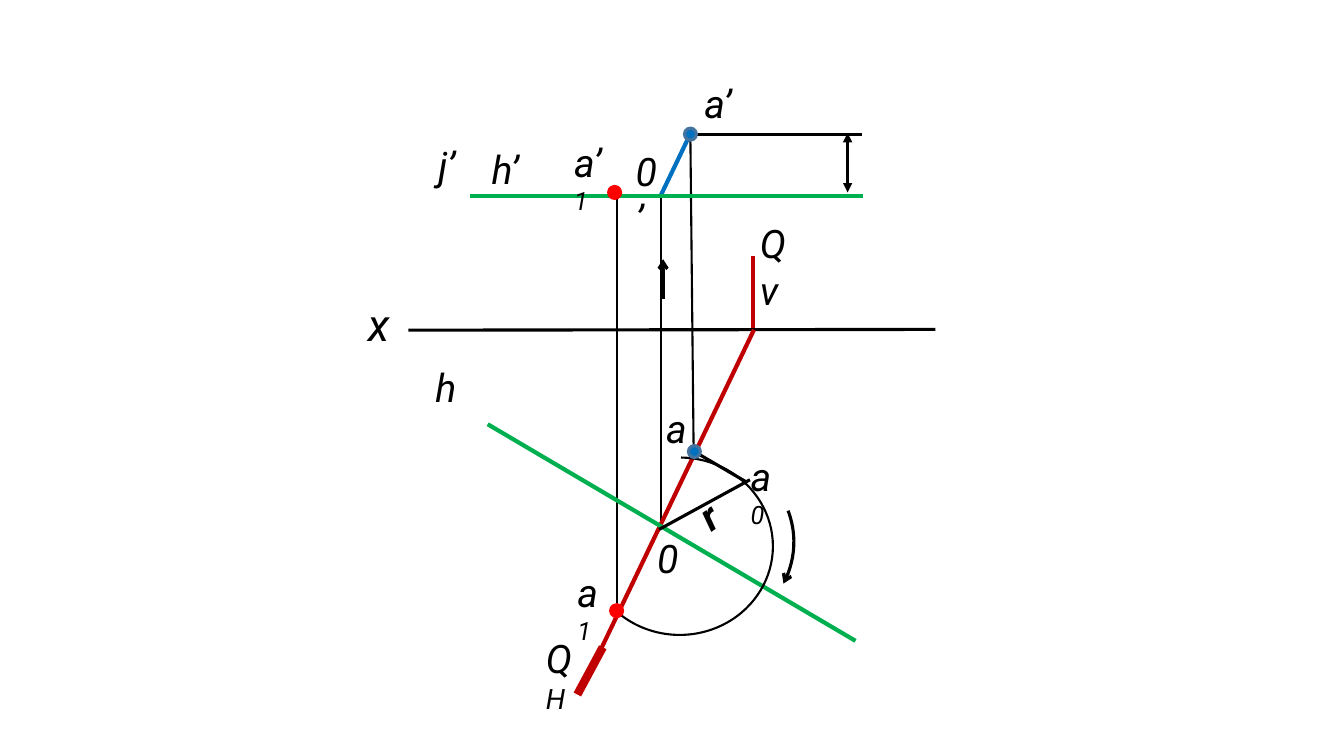
from collections import namedtuple

from lxml.etree import SubElement
from pptx import Presentation
from pptx.dml.color import RGBColor
from pptx.enum.shapes import MSO_CONNECTOR, MSO_SHAPE
from pptx.enum.text import MSO_ANCHOR, MSO_AUTO_SIZE, PP_ALIGN
from pptx.oxml.ns import qn
from pptx.util import Cm, Pt

BLACK = RGBColor(0x00, 0x00, 0x00)
BLUE = RGBColor(0x00, 0x70, 0xC0)
STEEL = RGBColor(0x43, 0x73, 0x9E)
RED = RGBColor(0xFF, 0x00, 0x00)
DARK_RED = RGBColor(0xC0, 0x00, 0x00)
GREEN = RGBColor(0x00, 0xB0, 0x50)
FONT = "Roboto"
LABEL_HEIGHT = 1.45
DOT_SIZE = 0.3

Box = namedtuple("Box", "left top width height")


def add_arrowheads(line_format, head=None, tail=None):
    """Put arrowheads at the start and the end of an outline."""
    outline = line_format._get_or_add_ln()
    for tag, kind in (("a:headEnd", head), ("a:tailEnd", tail)):
        if kind:
            SubElement(outline, qn(tag), type=kind)


def add_line(slide, box, start, end, color=BLACK, weight=2.25, head=None, tail=None):
    """Draw a straight line between two points of a box."""
    connector = slide.shapes.add_connector(
        MSO_CONNECTOR.STRAIGHT,
        Cm(box.left + start[0]), Cm(box.top + start[1]),
        Cm(box.left + end[0]), Cm(box.top + end[1]),
    )
    connector.line.color.rgb = color
    connector.line.width = Pt(weight)
    add_arrowheads(connector.line, head, tail)
    SubElement(connector._element.spPr, qn("a:effectLst"))


def add_label(slide, box, position, text, width=1, subscript="", size=28,
              subscript_size=18, bold=None, rotation=0):
    """Write an italic point name with an optional smaller index."""
    shape = slide.shapes.add_textbox(
        Cm(box.left + position[0]), Cm(box.top + position[1]), Cm(width), Cm(LABEL_HEIGHT))
    shape.rotation = rotation
    frame = shape.text_frame
    frame.word_wrap = True
    frame.auto_size = MSO_AUTO_SIZE.SHAPE_TO_FIT_TEXT
    frame.vertical_anchor = MSO_ANCHOR.TOP
    paragraph = frame.paragraphs[0]
    paragraph.alignment = PP_ALIGN.LEFT
    for part, part_size in ((text, size), (subscript, subscript_size)):
        if part:
            run = paragraph.add_run()
            run.text = part
            run.font.name = FONT
            run.font.size = Pt(part_size)
            run.font.italic = True
            run.font.bold = bold
            run.font.color.rgb = BLACK


def add_dot(slide, box, center, fill, outline):
    """Mark a point with a small filled circle."""
    dot = slide.shapes.add_shape(
        MSO_SHAPE.OVAL,
        Cm(box.left + center[0] - DOT_SIZE / 2), Cm(box.top + center[1] - DOT_SIZE / 2),
        Cm(DOT_SIZE), Cm(DOT_SIZE))
    dot.shadow.inherit = False
    dot.fill.solid()
    dot.fill.fore_color.rgb = fill
    dot.line.color.rgb = outline
    dot.line.width = Pt(2.25)


def add_arc(slide, box, frame, angles, weight, rotation=0, tail=None):
    """Draw an open arc inside a frame of a box."""
    left, top, width, height = frame
    arc = slide.shapes.add_shape(
        MSO_SHAPE.ARC, Cm(box.left + left), Cm(box.top + top), Cm(width), Cm(height))
    arc.adjustments[0], arc.adjustments[1] = angles
    arc.rotation = rotation
    arc.shadow.inherit = False
    arc.fill.background()
    arc.line.color.rgb = BLACK
    arc.line.width = Pt(weight)
    add_arrowheads(arc.line, tail=tail)


def draw_projectors(slide, box):
    """Draw the vertical lines that join the two views."""
    add_line(slide, box, (8.4, 2.53), (8.48, 10.33), weight=1.5)
    add_line(slide, box, (7.66, 3.93), (7.66, 12.21), weight=1.5)
    add_line(slide, box, (6.54, 3.9), (6.54, 14.29), weight=1.5)
    add_line(slide, box, (7.71, 5.53), (7.71, 6.54), head="arrow")


def draw_front_view(slide, box):
    """Draw the frontal projection down to the x axis."""
    point_a, point_a1 = (8.4, 2.38), (6.49, 3.85)
    add_line(slide, box, (8.37, 2.43), (7.64, 3.95), BLUE, 3)
    add_line(slide, box, point_a, (12.72, 2.38))
    add_line(slide, box, (1.29, box.height + 0.02), (14.57, box.height))
    add_line(slide, box, (2.84, 3.93), (12.74, 3.93), GREEN, 3)
    add_line(slide, box, (9.97, 5.45), (9.97, 7.26), DARK_RED, 3)
    add_line(slide, box, (12.36, 2.35), (12.36, 3.85), head="triangle", tail="triangle")
    add_dot(slide, box, point_a, BLUE, STEEL)
    add_dot(slide, box, point_a1, RED, RED)
    add_label(slide, box, (0.02, 6.34), "x", 1.04, size=32)
    add_label(slide, box, (8.5, 0.88), "a’", 1.5)
    add_label(slide, box, (1.8, 2.43), "j’", 1.98)
    add_label(slide, box, (3.14, 2.53), "h’", 1.4)
    add_label(slide, box, (5.22, 2.35), "a’", 1.42, subscript="1")
    add_label(slide, box, (6.77, 2.58), "0’", 1.22)
    add_label(slide, box, (9.9, 4.41), "Qv", 1.52)


def draw_top_view(slide, box):
    """Draw the horizontal projection with the rotation of point a."""
    point_a, point_a1 = (8.5, 3.08), (6.54, 7.09)
    add_line(slide, box, (10, 0.01), (5.78, 8.82), DARK_RED, 3)
    add_line(slide, box, (3.29, 2.39), (12.56, 7.85), GREEN, 3)
    add_line(slide, box, (6.19, 8.01), (5.55, 9.2), DARK_RED, 6)
    add_line(slide, box, (9.9, 3.79), (7.61, 5.04))
    add_line(slide, box, (9.8, 3.84), point_a)
    add_arc(slide, box, (5.78, 3.23, 4.7, 4.47), (162.52, 79.97), 1.5)
    add_arc(slide, box, (6.01, 3.05, 5, 4.7), (209.75, 19.97), 2.25, rotation=351, tail="arrow")
    add_dot(slide, box, point_a, BLUE, STEEL)
    add_dot(slide, box, point_a1, RED, RED)
    add_label(slide, box, (1.72, 0.72), "h")
    add_label(slide, box, (7.54, 1.76), "a")
    add_label(slide, box, (7.31, 5.04), "0")
    add_label(slide, box, (8.42, 3.97), "r", 0.91, bold=True, rotation=324.9)
    add_label(slide, box, (9.67, 2.98), "a", 1.27, subscript="0")
    add_label(slide, box, (5.3, 5.9), "a", 1.19, subscript="1")
    add_label(slide, box, (4.51, 7.55), "Q", 1.42, subscript="H", subscript_size=20)


def main():
    """Build the slide and save it."""
    presentation = Presentation()
    presentation.slide_width, presentation.slide_height = Cm(33.87), Cm(19.05)
    slide = presentation.slides.add_slide(presentation.slide_layouts[6])
    drawing = Box(9, 1, 15, 17)
    front_height = 7.3
    draw_projectors(slide, drawing)
    draw_front_view(slide, drawing._replace(height=front_height))
    draw_top_view(slide, drawing._replace(
        top=drawing.top + front_height, height=drawing.height - front_height))
    presentation.save("out.pptx")


if __name__ == "__main__":
    main()
